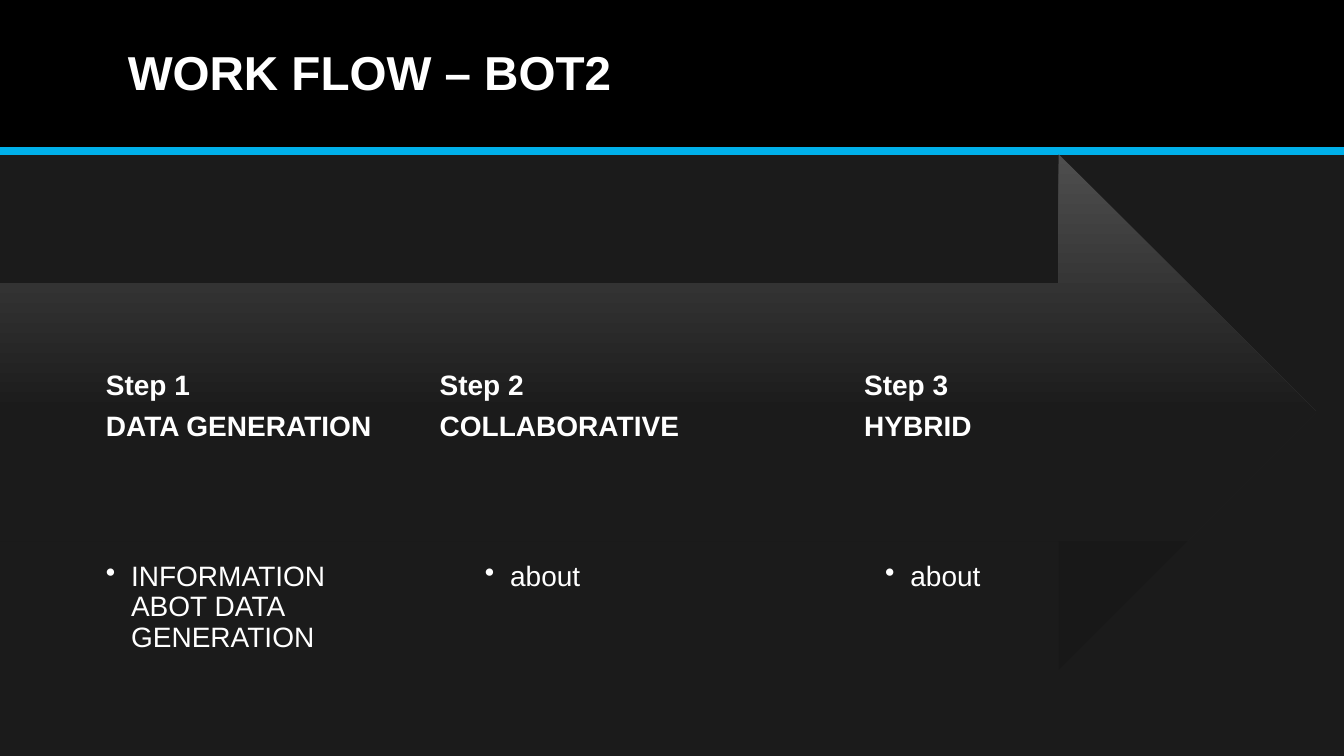
from lxml import etree
from pptx import Presentation, util as u
from pptx.dml.color import RGBColor
from pptx.enum import shapes, text
from pptx.oxml import parse_xml
from pptx.oxml.ns import nsdecls, qn

# Content
TITLE = "WORK FLOW – BOT2"
STEPS = [  # heading lines, heading left and width, detail, detail left
    (["Step 1", "DATA GENERATION"], 1.05, 2.76,
     "INFORMATION ABOT DATA GENERATION", 1.05),
    (["Step 2", "COLLABORATIVE"], 4.36, 3.65, "about", 4.81),
    (["Step 3", "HYBRID"], 8.57, 3.19, "about", 8.78),
]
HEX = {"back": "1B1B1B", "band": "000000", "rule": "00B0EA", "text": "FFFFFF"}
FADE = [(0, "4E4E4E"), (50, "1B1B1B"), (100, "181818")]
FONT = "Arial"

# Layout: the arrow's height sets the rows, in quarters
WIDE, HIGH = 13.33, 7.5
BAND = HIGH / 5
TOP, TALL = 1.53, 5.12
ROW = TALL / 4
HEAD_Y = 2.76
NOTE_Y, NOTE_W = 5.58, 2.76
INDENT = 0.25

deck = Presentation()
deck.slide_width, deck.slide_height = u.Inches(WIDE), u.Inches(HIGH)
slide = deck.slides.add_slide(deck.slide_layouts[6])


def color(name):
    return RGBColor.from_string(HEX[name])


def add_shape(kind, *box):
    shape = slide.shapes.add_shape(kind, *map(u.Inches, box))
    shape.shadow.inherit = False
    shape.line.fill.background()
    return shape


def add_text(lines, box, size, bold=False, pad=(0, 0), after=0, mid=False):
    frame = slide.shapes.add_textbox(*map(u.Inches, box)).text_frame
    frame.word_wrap = True
    frame.margin_left = frame.margin_right = u.Inches(pad[0])
    frame.margin_top = frame.margin_bottom = u.Inches(pad[1])
    if mid:
        frame.vertical_anchor = text.MSO_ANCHOR.MIDDLE
    for i, line in enumerate(lines):
        para = frame.add_paragraph() if i else frame.paragraphs[0]
        para.line_spacing = 0.9
        para.space_after = u.Pt(after)
        run = para.add_run()
        run.text = line
        font = run.font
        font.name, font.size, font.bold = FONT, u.Pt(size), bold
        font.color.rgb = color("text")
    return frame


def add_bullet(para):
    props = para._p.get_or_add_pPr()
    props.set("marL", str(u.Inches(INDENT)))
    props.set("indent", str(-u.Inches(INDENT)))
    etree.SubElement(props, qn("a:buChar")).set("char", "•")


# Background and title band
slide.background.fill.solid()
slide.background.fill.fore_color.rgb = color("back")
band = add_shape(shapes.MSO_SHAPE.RECTANGLE, 0, 0, WIDE, BAND)
band.fill.solid()
band.fill.fore_color.rgb = color("band")
rule = slide.shapes.add_connector(
    shapes.MSO_CONNECTOR.STRAIGHT,
    *map(u.Inches, (0, BAND, WIDE, BAND)))
rule.line.color.rgb = color("rule")
rule.line.width = u.Pt(6)
etree.SubElement(rule._element.spPr, qn("a:effectLst"))
add_text([TITLE], (1.17, 0.14, 11, 1.2), 34, True, (0.1, 0.05), mid=True)

# Arrow with a three-stop fade from top to bottom
arrow = add_shape(shapes.MSO_SHAPE.RIGHT_ARROW, 0, TOP, 13.06, TALL)
stops = "".join(f'<a:gs pos="{at * 1000}"><a:srgbClr val="{tone}"/></a:gs>'
                for at, tone in FADE)
fade = parse_xml(f'<a:gradFill {nsdecls("a")} rotWithShape="1"><a:gsLst>{stops}'
                 '</a:gsLst><a:lin ang="5400000" scaled="0"/></a:gradFill>')
arrow._element.spPr.find(qn("a:prstGeom")).addnext(fade)

# Steps: heading above, bulleted detail below
for lines, left, width, note, note_x in STEPS:
    add_text(lines, (left, HEAD_Y, width, 2 * ROW), 20, True, (0, 0.22), 8, True)
    frame = add_text([note], (note_x, NOTE_Y, NOTE_W, ROW), 20, after=3)
    add_bullet(frame.paragraphs[0])

deck.save("out.pptx")
